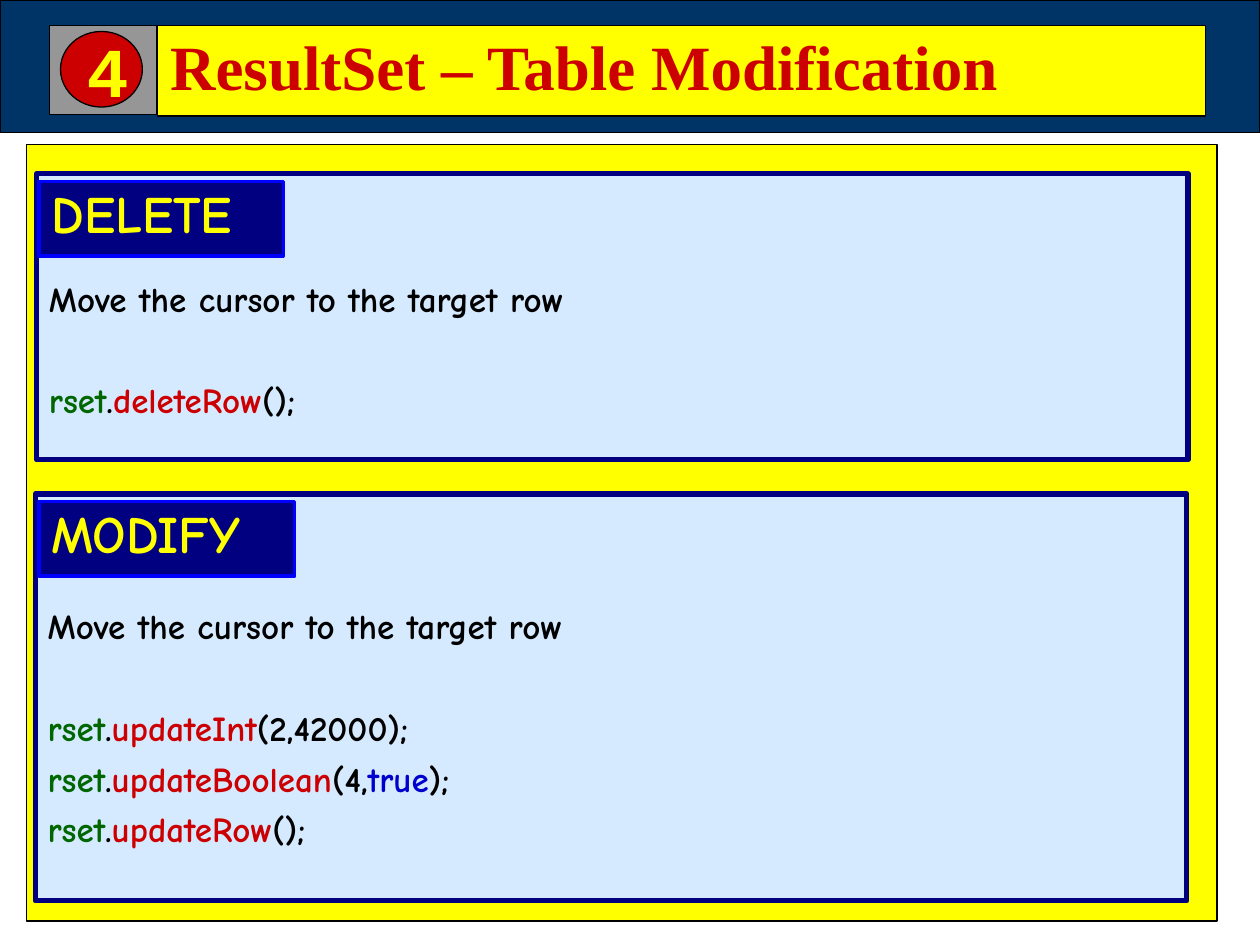
from pptx import Presentation
from pptx.dml.color import RGBColor
from pptx.enum.shapes import MSO_SHAPE as Shape
from pptx.enum.text import MSO_ANCHOR as Anchor, MSO_AUTO_SIZE as AutoSize, PP_ALIGN as Align
from pptx.util import Inches, Pt

COLORS = {
    "yellow": "FFFF00", "banner": "003366", "red": "CC0000", "gray": "969696",
    "panel": "D5EAFF", "navy": "000080", "blue": "0000FF", "black": "000000",
    "green": "006600", "keyword": "0000CC", "white": "FFFFFF",
}
BODY_FONT = "Comic Neue"
INTRO = [("Move the cursor to the target row", "black")]


def color(name):
    return RGBColor.from_string(COLORS[name])


def style_box(shape, fill, line="black", width=0.75):
    shape.fill.solid()
    shape.fill.fore_color.rgb = color(fill)
    shape.line.color.rgb = color(line)
    shape.line.width = Pt(width)


def add_box(slide, left, top, width, height, fill, line="black", line_width=0.75,
            kind=Shape.RECTANGLE):
    shape = slide.shapes.add_shape(
        kind, Inches(left), Inches(top), Inches(width), Inches(height))
    shape.shadow.inherit = False
    style_box(shape, fill, line, line_width)
    return shape


def write_text(shape, lines, font=BODY_FONT, size=20, anchor=Anchor.TOP, align=Align.LEFT,
               spacing=1.0, before=(0,), insets=(0.1, 0.05, 0.1, 0.05), wrap=True):
    """Fill a shape with lines, each a list of (text, color) runs."""
    frame = shape.text_frame
    frame.auto_size = AutoSize.NONE
    frame.word_wrap = wrap
    frame.vertical_anchor = anchor
    (frame.margin_left, frame.margin_top,
     frame.margin_right, frame.margin_bottom) = map(Inches, insets)
    for index, line in enumerate(lines):
        paragraph = frame.add_paragraph() if index else frame.paragraphs[0]
        paragraph.alignment = align
        paragraph.line_spacing = spacing
        paragraph.space_before = Pt(before[min(index, len(before) - 1)])
        for text, name in line:
            run = paragraph.add_run()
            run.text = text
            run.font.name = font
            run.font.size = Pt(size)
            run.font.bold = True
            run.font.color.rgb = color(name)


def call(method, *arguments):
    """Color the parts of one method call on the result set."""
    return [("rset", "green"), (".", "black"), (method, "red"), *arguments]


def add_section(slide, heading, left, top, height, tab_width, text_top, calls):
    panel = add_box(slide, left, top, 9.14, height, "panel", "navy", 3)
    write_text(panel, [INTRO, *calls], before=(0, 34, 5), insets=(0.1, text_top, 0.1, 0.05))
    tab = add_box(slide, 0.31, top + 0.06, tab_width, 0.59, "navy", "blue", 2)
    write_text(tab, [[(heading, "yellow")]], size=30, spacing=0.9, before=(7.5,))


def add_header(slide):
    banner = add_box(slide, 0, 0, 10, 1.05, "banner")
    title = slide.shapes.title
    title.left, title.top = Inches(1.25), Inches(0.2)
    title.width, title.height = Inches(8.32), Inches(0.72)
    style_box(title, "yellow")
    write_text(title, [[("ResultSet – Table Modification", "red")]], font="Times New Roman",
               size=36, anchor=Anchor.MIDDLE, spacing=0.9, before=(9,))
    banner.element.addnext(title.element)
    # Numbered badge
    add_box(slide, 0.39, 0.2, 0.85, 0.71, "gray")
    badge = add_box(slide, 0.48, 0.25, 0.65, 0.6, "red", kind=Shape.OVAL)
    write_text(badge, [[("4", "yellow")]], font="Courier New", size=40, anchor=Anchor.MIDDLE,
               align=Align.CENTER, insets=(0.1, 0.05, 0, 0.05), wrap=False)


def main():
    presentation = Presentation()
    presentation.slide_width, presentation.slide_height = Inches(10), Inches(7.5)
    slide = presentation.slides.add_slide(presentation.slide_layouts[5])
    slide.background.fill.solid()
    slide.background.fill.fore_color.rgb = color("white")

    # Backdrop and header
    add_box(slide, 0.21, 1.15, 9.45, 6.16, "yellow")
    add_header(slide)

    # Sections
    empty_call = ("();", "black")
    add_section(slide, "DELETE", 0.29, 1.38, 2.27, 1.94, 0.82,
                [call("deleteRow", empty_call)])
    add_section(slide, "MODIFY", 0.28, 3.92, 3.23, 2.03, 0.88, [
        call("updateInt", ("(2,42000);", "black")),
        call("updateBoolean", ("(4,", "black"), ("true", "keyword"), (");", "black")),
        call("updateRow", empty_call),
    ])
    presentation.save("out.pptx")


main()
